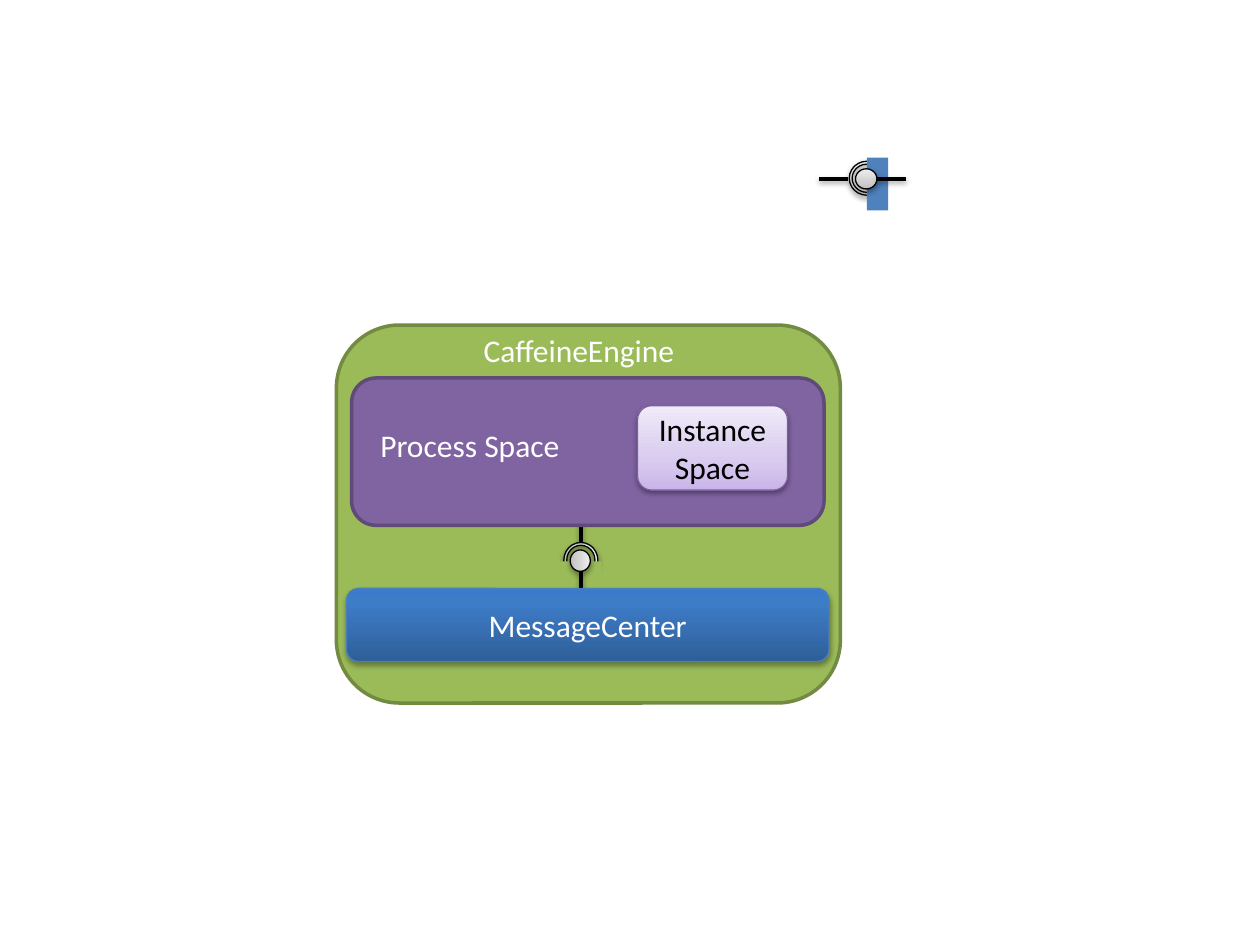
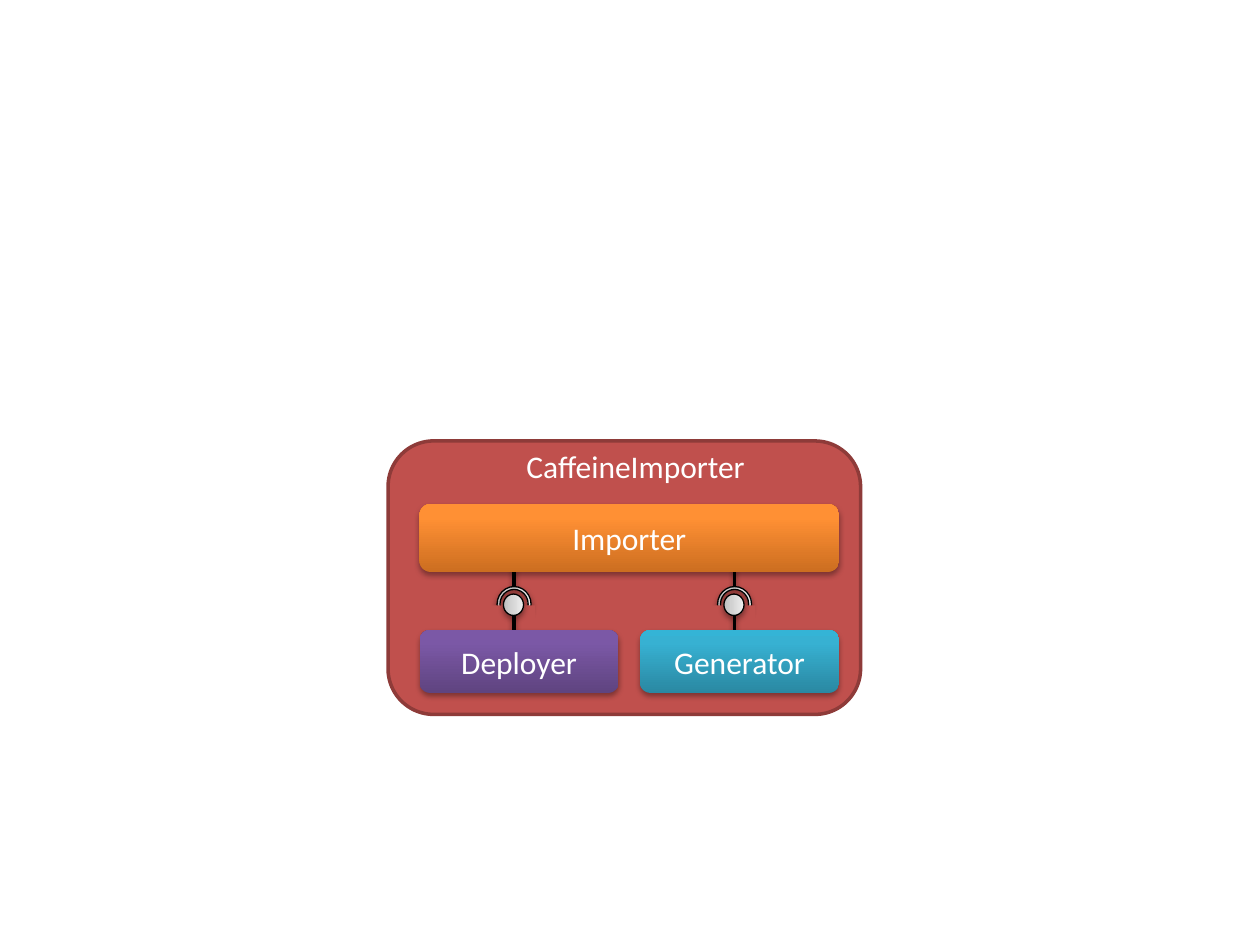
from lxml import etree
from pptx import Presentation
from pptx import util as u
from pptx.dml.color import RGBColor
from pptx.enum import shapes, text
from pptx.oxml.ns import qn

PX = 9144  # EMU per px, 100 px to the inch
FONT = "Calibri"

WHITE = RGBColor(0xFF, 0xFF, 0xFF)
BLACK = RGBColor(0x00, 0x00, 0x00)
GREEN = RGBColor(0x9B, 0xBB, 0x59)
GREEN_EDGE = RGBColor(0x73, 0x8A, 0x42)
RED = RGBColor(0xC0, 0x50, 0x4D)
RED_EDGE = RGBColor(0x8E, 0x3B, 0x39)
PURPLE = RGBColor(0x80, 0x64, 0xA2)
PURPLE_EDGE = RGBColor(0x5F, 0x4A, 0x78)
LILAC_EDGE = RGBColor(0x7D, 0x60, 0xA0)
BLUE = RGBColor(0x4F, 0x81, 0xBD)
BLUE_EDGE = RGBColor(0x4B, 0x7E, 0xBC)


def gradient(middle, *colours):
    """Three stops from bottom to top."""
    return list(zip((0, middle, 100), (RGBColor.from_string(c) for c in colours)))


SILVER = gradient(35, "BDBDBD", "D1D1D1", "EEEEEE")
LILAC = gradient(35, "C9B5E8", "D8CBEE", "F0EAF9")
DEEP_BLUE = gradient(80, "2F5F99", "3D7CC7", "3A7CCB")
DEEP_PURPLE = gradient(80, "5F4480", "7B58A6", "7C57A8")
AQUA = gradient(80, "2A88A2", "37B1D2", "34B4D6")
ORANGE = gradient(80, "CC6E20", "FF9034", "FF9136")

# Shadow: opacity in percent, distance in EMU
SOFT = (38, 20000)
STRONG = (35, 23000)


def px(*lengths):
    return [length * PX for length in lengths]


def child(parent, tag, **attributes):
    return etree.SubElement(parent, qn(tag), {k: str(v) for k, v in attributes.items()})


def add_shadow(effects, opacity, distance):
    outer = child(effects, "a:outerShdw", blurRad=40000, dist=distance,
                  dir=5400000, rotWithShape=0)
    colour = child(outer, "a:srgbClr", val=BLACK)
    child(colour, "a:alpha", val=opacity * 1000)


def paint(shape, fill):
    if isinstance(fill, RGBColor):
        shape.fill.solid()
        shape.fill.fore_color.rgb = fill
        return
    shape.fill.gradient()
    shape.fill.gradient_angle = 90
    stops = shape._element.spPr.find(qn("a:gradFill")).find(qn("a:gsLst"))
    for stop in list(stops):
        stops.remove(stop)
    for position, colour in fill:
        child(child(stops, "a:gs", pos=position * 1000), "a:srgbClr", val=colour)


def write(shape, words, colour=WHITE, size=18, align=text.PP_ALIGN.CENTER,
          anchor=text.MSO_ANCHOR.MIDDLE, wrap=True):
    frame = shape.text_frame
    frame.word_wrap = wrap
    frame.vertical_anchor = anchor
    paragraph = frame.paragraphs[0]
    paragraph.alignment = align
    run = paragraph.add_run()
    run.text = words
    run.font.name, run.font.size = FONT, u.Pt(size)
    run.font.color.rgb = colour


def add_label(canvas, box, words):
    write(canvas.add_textbox(*px(*box)), words, align=text.PP_ALIGN.LEFT,
          anchor=text.MSO_ANCHOR.TOP, wrap=False)


def add_part(canvas, box, fill, kind=shapes.MSO_SHAPE.ROUNDED_RECTANGLE,
             edge=None, edge_width=0.75, shadow=None, words=None, colour=WHITE):
    shape = canvas.add_shape(kind, *px(*box))
    shape.shadow.inherit = False
    paint(shape, fill)
    if edge is None:
        shape.line.fill.background()
    else:
        shape.line.color.rgb = edge
        shape.line.width = u.Pt(edge_width)
    if shadow:
        add_shadow(shape._element.spPr.find(qn("a:effectLst")), *shadow)
    if words:
        write(shape, words, colour)
    return shape


def add_lead(canvas, start, end):
    lead = canvas.add_connector(shapes.MSO_CONNECTOR.STRAIGHT, *px(*start, *end))
    lead.line.color.rgb = BLACK
    lead.line.width = u.Pt(2)
    add_shadow(child(lead._element.spPr, "a:effectLst"), *SOFT)


def centred(x, y, width, height):
    return x - (width + 1) // 2, y - (height + 1) // 2, width, height


def add_socket(slide, x, y, cover, depth=23, vertical=True):
    """Ball and socket around (x, y); the cover hides half of the ring."""
    canvas = slide.shapes.add_group_shape().shapes
    turn = 90 if vertical else 0

    def along(distance, side=0):
        return (x - side, y + distance) if vertical else (x + distance, y + side)

    ring = add_part(canvas, centred(x, y, 28, 27), SILVER, shapes.MSO_SHAPE.DONUT,
                    edge=BLACK, shadow=SOFT)
    ring.adjustments[0] = 0.086
    mask = add_part(canvas, centred(*along((depth + 1) // 2, 4), depth, 42), cover,
                    shapes.MSO_SHAPE.RECTANGLE)
    ball = add_part(canvas, centred(x, y, 17, 16), SILVER, shapes.MSO_SHAPE.OVAL,
                    edge=BLACK, shadow=SOFT)
    for shape in (ring, mask, ball):
        shape.rotation = turn
    for start, end in ((-38, -15), (8, 31)):
        add_lead(canvas, along(start), along(end))


def build_engine(slide, left, top, width, height):
    canvas = slide.shapes
    add_part(canvas, (left, top, width, height), GREEN, edge=GREEN_EDGE, edge_width=2)
    add_label(canvas, (left + 107, top, 175, 40), "CaffeineEngine")

    # Free connector above the engine, then the one inside it
    add_socket(slide, left + 421, top - 116, BLUE, depth=17, vertical=False)
    add_socket(slide, left + 194, top + 187, GREEN)

    # Message center
    add_part(canvas, (left + 8, top + 209, width - 17, 58), DEEP_BLUE, edge=BLUE_EDGE,
             shadow=STRONG, words="MessageCenter")

    # Process space with its instance space
    add_part(canvas, (left + 12, top + 42, width - 25, 117), PURPLE,
             edge=PURPLE_EDGE, edge_width=2)
    add_label(canvas, (left + 25, top + 75, 164, 40), "Process Space")
    add_part(canvas, (left + 239, top + 64, 119, 67), LILAC, edge=LILAC_EDGE,
             shadow=SOFT, words="Instance Space", colour=BLACK)


def build_importer(slide, left, top, width, height):
    canvas = slide.shapes
    add_part(canvas, (left, top, width, height), RED, edge=RED_EDGE, edge_width=2)

    # Two services, each plugged into the importer
    for column, (name, fill) in enumerate((("Deployer", DEEP_PURPLE), ("Generator", AQUA))):
        service_left = left + 25 + column * 175
        add_socket(slide, service_left + 75, top + 130, RED)
        add_part(canvas, (service_left, top + 150, 158, 50), fill,
                 shadow=STRONG, words=name)

    add_part(canvas, (left + 25, top + 50, 333, 54), ORANGE,
             shadow=STRONG, words="Importer")
    add_label(canvas, (left + 100, top, 196, 40), "CaffeineImporter")


def main():
    presentation = Presentation()
    presentation.slide_width, presentation.slide_height = px(1000, 750)
    blank = presentation.slide_layouts[6]
    build_engine(presentation.slides.add_slide(blank), 267, 258, 400, 300)
    build_importer(presentation.slides.add_slide(blank), 308, 350, 375, 217)
    presentation.save("out.pptx")


if __name__ == "__main__":
    main()
